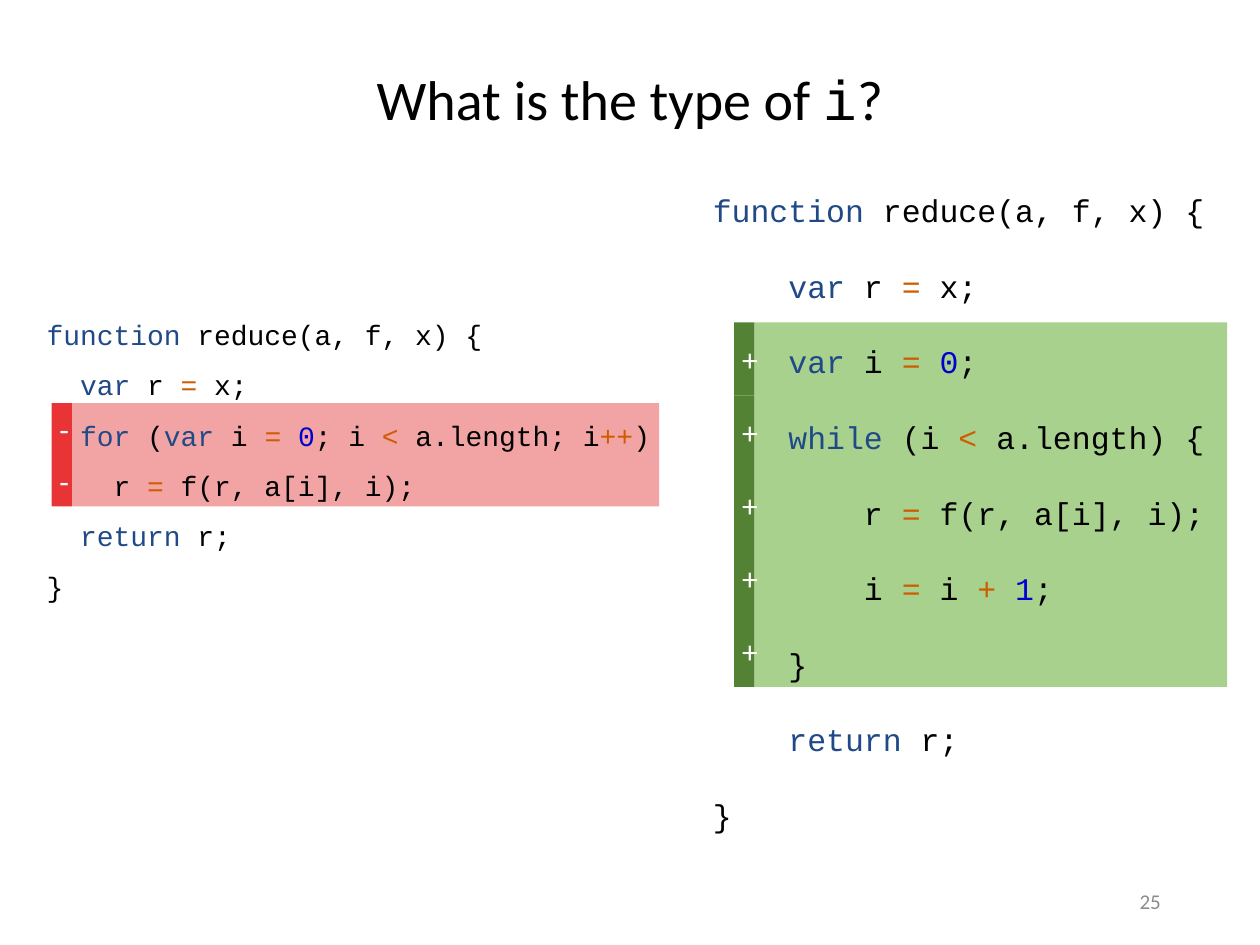
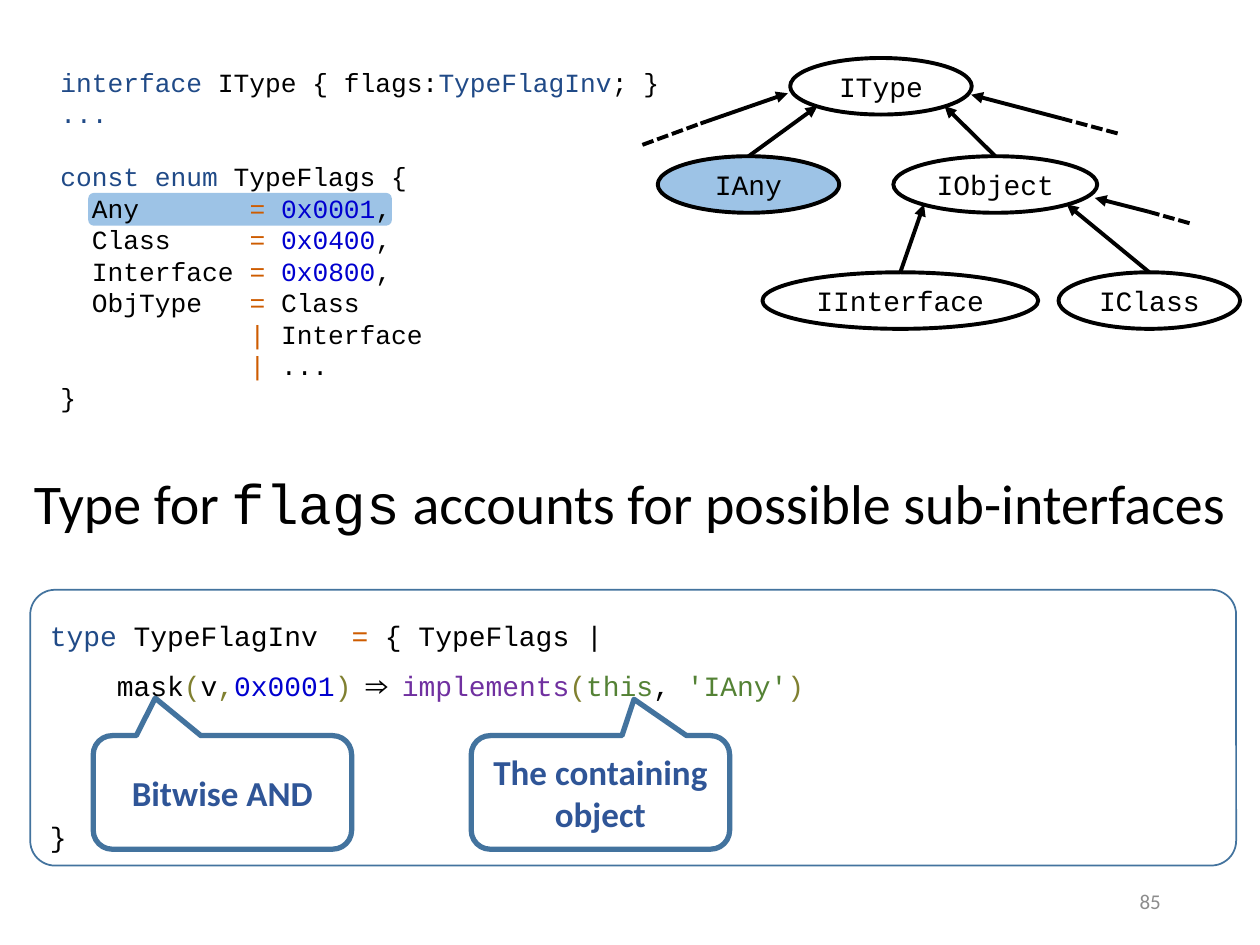
import lxml.etree
import pptx
import pptx.dml.color
import pptx.enum.dml
import pptx.enum.shapes
import pptx.enum.text
import pptx.oxml.ns
import pptx.util

Cm = pptx.util.Cm
Pt = pptx.util.Pt
RGBColor = pptx.dml.color.RGBColor
Preset = pptx.enum.shapes.MSO_SHAPE
Align = pptx.enum.text.PP_ALIGN
Anchor = pptx.enum.text.MSO_ANCHOR
qn = pptx.oxml.ns.qn

BLACK = RGBColor(0x00, 0x00, 0x00)
WHITE = RGBColor(0xFF, 0xFF, 0xFF)
GREY = RGBColor(0x8C, 0x8C, 0x8C)
KEYWORD = RGBColor(0x20, 0x4A, 0x87)
OPERATOR = RGBColor(0xCE, 0x5C, 0x00)
NUMBER = RGBColor(0x00, 0x00, 0xCF)
BRACKET = RGBColor(0x80, 0x80, 0x30)
PREDICATE = RGBColor(0x70, 0x30, 0xA0)
GREEN = RGBColor(0x54, 0x82, 0x35)
LIGHT_GREEN = RGBColor(0xA9, 0xD1, 0x8E)
RED = RGBColor(0xE8, 0x34, 0x34)
LIGHT_RED = RGBColor(0xF2, 0xA4, 0xA4)
LIGHT_BLUE = RGBColor(0x9D, 0xC3, 0xE6)
OUTLINE = RGBColor(0x43, 0x73, 0x9E)
CALLOUT_TEXT = RGBColor(0x2F, 0x55, 0x97)

BODY, MONO = "Calibri", "Courier New"
MARKS = {
    "k": {"color": KEYWORD},
    "o": {"color": OPERATOR},
    "n": {"color": NUMBER},
    "b": {"color": BRACKET},
    "p": {"color": PREDICATE},
    "g": {"color": GREEN},
    "m": {"name": MONO},
}

FOR_LOOP = [
    "`kfunction` reduce(a, f, x) {",
    "  `kvar` r `o=` x;",
    "  `kfor` (`kvar` i `o=` `n0`; i `o<` a.length; i`o++`)",
    "    r `o=` f(r, a[i], i);",
    "  `kreturn` r;",
    "}",
]
WHILE_LOOP = [
    "`kfunction` reduce(a, f, x) {",
    "    `kvar` r `o=` x;",
    "    `kvar` i `o=` `n0`;",
    "    `kwhile` (i `o<` a.length) {",
    "        r `o=` f(r, a[i], i);",
    "        i `o=` i `o+` `n1`;",
    "    }",
    "    `kreturn` r;",
    "}",
]
TYPE_FLAGS = [
    "`kinterface` IType { flags:`kTypeFlagInv`; }",
    "`k...`",
    "`kconst enum` TypeFlags {",
    "  Any       `o=` `n0x0001`,",
    "  Class     `o=` `n0x0400`,",
    "  Interface `o=` `n0x0800`,",
    "  ObjType   `o=` Class",
    "            `o|` Interface",
    "            `o|` ...",
    "}",
]
INVARIANT = [
    "`ktype` TypeFlagInv  `o=` { TypeFlags |",
    "    mask`b(`v`b,``n0x0001``b)` ⇒ `pimplements``b(``gthis`, `g'IAny'``b)`",
    "}",
]
NODES = {
    "IType": (15.93, 1.17, 3.66, WHITE),
    "IAny": (13.26, 3.15, 3.66, LIGHT_BLUE),
    "IObject": (18.01, 3.15, 4.11, None),
    "IInterface": (15.37, 5.49, 5.56, None),
    "IClass": (21.34, 5.49, 3.66, None),
}
NODE_HEIGHT = 1.14
LEFT_EDGE, RIGHT_EDGE = 0.15, 0.85
INHERITANCE = [
    ("IAny", "IType", LEFT_EDGE),
    ("IObject", "IType", RIGHT_EDGE),
    ("IInterface", "IObject", LEFT_EDGE),
    ("IClass", "IObject", RIGHT_EDGE),
]
OTHER_SUBTYPES = [
    ((23.98, 4.5), (23.16, 4.27), (22.07, 3.99)),
    ((12.95, 2.92), (14.12, 2.49), (15.88, 1.88)),
    ((22.53, 2.69), (21.41, 2.39), (19.58, 1.91)),
]


class Deck:
    """Draws the elements of the talk in one style on the current slide."""

    def __init__(self):
        self.presentation = pptx.Presentation()
        self.presentation.slide_width = Cm(25.4)
        self.presentation.slide_height = Cm(19.05)
        self.shapes = None

    def new_slide(self, title, title_top, number):
        blank = self.presentation.slide_layouts[6]
        self.shapes = self.presentation.slides.add_slide(blank).shapes
        self.text((0, title_top, 25.4, 1.63), [title], {"size": Pt(32)},
                  alignment=Align.CENTER)
        page = self.text((17.93, 17.65, 5.72, 1.02), [number],
                         {"size": Pt(12), "color": GREY}, alignment=Align.RIGHT)
        page.vertical_anchor = Anchor.MIDDLE

    def fill_frame(self, frame, lines, style, gaps=None, **layout):
        for index, line in enumerate(lines):
            paragraph = frame.add_paragraph() if index else frame.paragraphs[0]
            for attribute, value in layout.items():
                setattr(paragraph, attribute, value)
            if gaps and index in gaps:
                paragraph.space_before = Pt(gaps[index])
            for position, piece in enumerate(line.split("`")):
                if not piece:
                    continue
                marked = position % 2
                run = paragraph.add_run()
                run.text = piece[1:] if marked else piece
                values = {"name": BODY, "color": BLACK, **style}
                if marked:
                    values.update(MARKS[piece[0]])
                run.font.color.rgb = values.pop("color")
                for attribute, value in values.items():
                    setattr(run.font, attribute, value)
        return frame

    def text(self, box, lines, style, gaps=None, **layout):
        frame = self.shapes.add_textbox(*map(Cm, box)).text_frame
        frame.word_wrap = True
        return self.fill_frame(frame, lines, style, gaps, **layout)

    def code(self, box, lines, size, gaps=None, spacing=1.0):
        style = {"name": MONO, "size": Pt(size)}
        return self.text(box, lines, style, gaps, line_spacing=spacing)

    def shape(self, preset, box, fill=None, line=None, width=1, adjust=()):
        shape = self.shapes.add_shape(preset, *map(Cm, box))
        shape.shadow.inherit = False
        for index, value in enumerate(adjust):
            shape.adjustments[index] = value
        for part, color in ((shape.fill, fill), (shape.line.fill, line)):
            if color is None:
                part.background()
            else:
                part.solid()
                part.fore_color.rgb = color
        if line is not None:
            shape.line.width = Pt(width)
        shape.text_frame.vertical_anchor = Anchor.MIDDLE
        return shape

    def changed_lines(self, left, top, width, row, count, sign, dark, light):
        gutter = 0.41
        self.shape(Preset.RECTANGLE, (left + gutter, top, width, row * count), light)
        for index in range(count):
            cell = self.shape(Preset.RECTANGLE,
                              (left, top + index * row, gutter, row), dark)
            self.fill_frame(cell.text_frame, [sign],
                            {"size": Pt(18), "color": WHITE},
                            alignment=Align.CENTER)

    def callout(self, left, label, tip):
        bubble = self.shape(Preset.ROUNDED_RECTANGULAR_CALLOUT,
                            (left, 14.83, 5.21, 2.29), line=OUTLINE, width=3,
                            adjust=(*tip, 0.167))
        self.fill_frame(bubble.text_frame, [label],
                        {"size": Pt(20), "bold": True, "color": CALLOUT_TEXT},
                        alignment=Align.CENTER)

    def node(self, name, left, top, width, fill):
        oval = self.shape(Preset.OVAL, (left, top, width, NODE_HEIGHT), fill,
                          BLACK, 2.25)
        oval.text_frame.word_wrap = False
        self.fill_frame(oval.text_frame, [name], {"name": MONO, "size": Pt(16)},
                        alignment=Align.CENTER)

    def line(self, start, end, dashed=False):
        straight = pptx.enum.shapes.MSO_CONNECTOR.STRAIGHT
        line = self.shapes.add_connector(straight, *map(Cm, (*start, *end)))
        line.line.color.rgb = BLACK
        line.line.width = Pt(2.25)
        properties = line.element.spPr
        if dashed:
            line.line.dash_style = pptx.enum.dml.MSO_LINE.SQUARE_DOT
        else:
            lxml.etree.SubElement(properties.find(qn("a:ln")), qn("a:tailEnd"),
                                  type="triangle")
        lxml.etree.SubElement(properties, qn("a:effectLst"))


def loop_comparison(deck):
    deck.new_slide("What is the type of `mi`?", 1.17, "25")
    deck.changed_lines(14.8, 6.5, 9.53, 1.47, 5, "+", GREEN, LIGHT_GREEN)
    deck.changed_lines(1.04, 8.13, 11.84, 1.04, 2, "-", RED, LIGHT_RED)
    deck.code((0.69, 5.94, 12.9, 6.53), FOR_LOOP, 16, spacing=1.5)
    deck.code((14.12, 2.97, 10.69, 14.1), WHILE_LOOP, 18, spacing=2.0)


def flag_invariant(deck):
    deck.new_slide("Type for `mflags` accounts for possible sub-interfaces",
                   9.32, "85")
    deck.shape(Preset.ROUNDED_RECTANGLE, (1.78, 3.89, 6.12, 0.66), LIGHT_BLUE)
    declaration = deck.code((0.97, 0.89, 14.76, 7.62), TYPE_FLAGS, 15, {2: 18})
    declaration.paragraphs[0].line_spacing = 1.5
    deck.callout(1.88, "Bitwise AND", (-0.26, -0.83))
    deck.callout(9.5, "The containing object", (0.13, -0.82))
    panel = deck.shape(Preset.ROUNDED_RECTANGLE, (0.61, 11.89, 24.31, 5.56),
                       line=OUTLINE, adjust=(0.09,))
    deck.fill_frame(panel.text_frame, INVARIANT, {"name": MONO, "size": Pt(16)},
                    {2: 57.6}, line_spacing=1.5, alignment=Align.LEFT)
    for outer, joint, tip in OTHER_SUBTYPES:
        deck.line(joint, tip)
        deck.line(outer, joint, dashed=True)
    for name, placing in NODES.items():
        deck.node(name, *placing)
    for child, parent, edge in INHERITANCE:
        left, top, width, _ = NODES[child]
        parent_left, parent_top, parent_width, _ = NODES[parent]
        deck.line((left + width / 2, top),
                  (parent_left + edge * parent_width,
                   parent_top + RIGHT_EDGE * NODE_HEIGHT))


def main():
    deck = Deck()
    loop_comparison(deck)
    flag_invariant(deck)
    deck.presentation.save("out.pptx")


if __name__ == "__main__":
    main()
